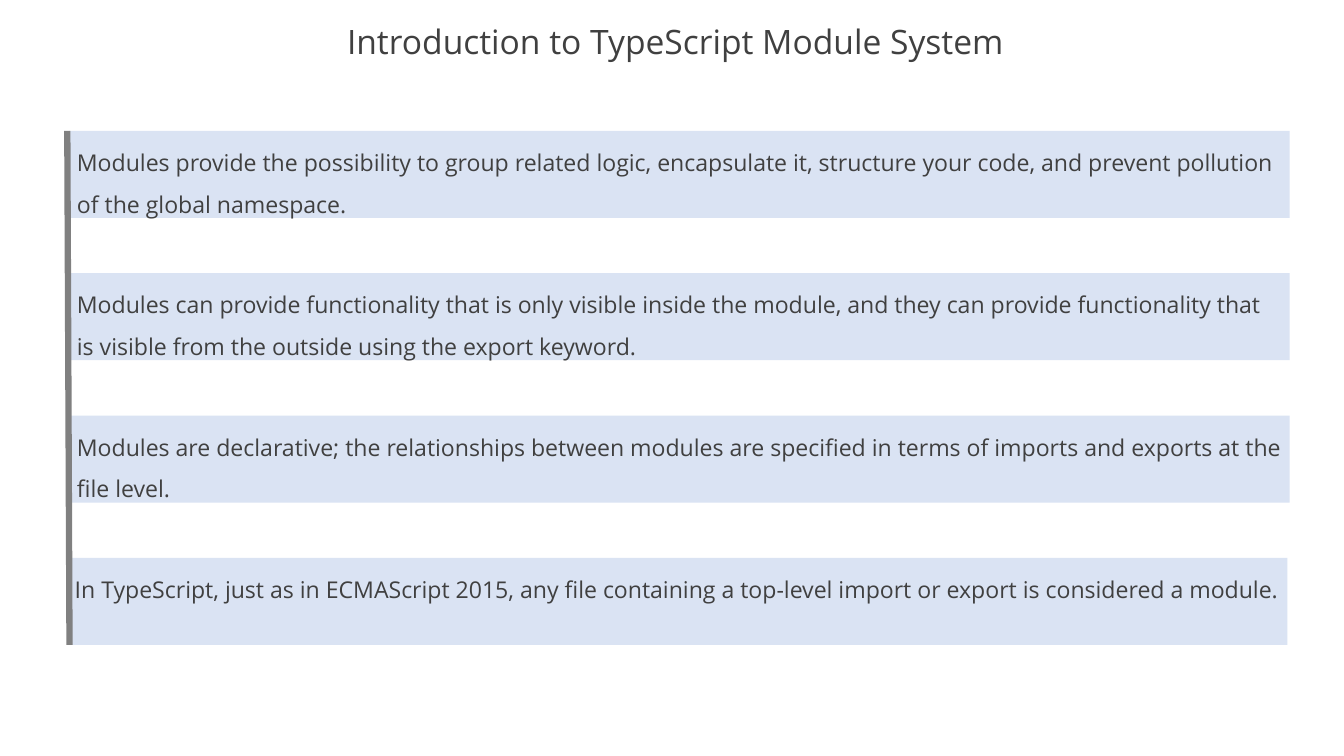
from dataclasses import dataclass

from pptx import Presentation
from pptx.dml.color import RGBColor
from pptx.enum.shapes import MSO_CONNECTOR, MSO_SHAPE
from pptx.enum.text import MSO_ANCHOR, PP_ALIGN
from pptx.oxml.ns import qn
from pptx.slide import Slide
from pptx.text.text import _Paragraph
from pptx.util import Pt
from lxml.etree import SubElement

FONT = "Open Sans"
TEXT, PANEL, RULE = "404040", "DAE3F3", "808080"
PAGE_WIDTH, PAGE_HEIGHT = 1280, 720
FIRST_TOP, PITCH = 124.6, 135.6
PANEL_WIDTH, PANEL_HEIGHT = 1162, 82.8


@dataclass
class Statement:
    text: str
    left: float = 66.2


STATEMENTS = [
    Statement("Modules provide the possibility to group related logic, encapsulate it, "
              "structure your code, and prevent pollution of the global namespace."),
    Statement("Modules can provide functionality that is only visible inside the module, "
              "and they can provide functionality that is visible from the outside using "
              "the export keyword."),
    Statement("Modules are declarative; the relationships between modules are specified "
              "in terms of imports and exports at the file level."),
    Statement("In TypeScript, just as in ECMAScript 2015, any file containing a top-level "
              "import or export is considered a module.", 64.1),
]


def color(value: str) -> RGBColor:
    return RGBColor.from_string(value)


def format_paragraph(para: _Paragraph, size: float, align: PP_ALIGN, spacing: float) -> None:
    para.alignment = align
    para.line_spacing = spacing
    para.space_before = Pt(0)
    for span in para.runs:
        span.font.name = FONT
        span.font.size = Pt(size)
        span.font.color.rgb = color(TEXT)


def add_title(page: Slide, text: str) -> None:
    title = page.shapes.title
    title.left, title.top = Pt(0), Pt(15.1)
    title.width, title.height = Pt(PAGE_WIDTH), Pt(52.6)
    frame = title.text_frame
    frame.text = text
    frame.vertical_anchor = MSO_ANCHOR.MIDDLE
    frame.margin_left = Pt(7.2)
    frame.margin_top = frame.margin_right = frame.margin_bottom = Pt(0)
    format_paragraph(frame.paragraphs[0], 32, PP_ALIGN.CENTER, 0.9)


def add_statement(page: Slide, statement: Statement, top: float) -> None:
    panel = page.shapes.add_shape(MSO_SHAPE.RECTANGLE, Pt(statement.left), Pt(top),
                                  Pt(PANEL_WIDTH), Pt(PANEL_HEIGHT))
    panel.shadow.inherit = False
    panel.fill.solid()
    panel.fill.fore_color.rgb = color(PANEL)
    panel.line.fill.background()
    frame = panel.text_frame
    frame.text = statement.text
    frame.word_wrap = True
    frame.vertical_anchor = MSO_ANCHOR.TOP
    format_paragraph(frame.paragraphs[0], 22, PP_ALIGN.LEFT, 1.5)


def add_rule(page: Slide) -> None:
    bottom = FIRST_TOP + (len(STATEMENTS) - 1) * PITCH + PANEL_HEIGHT
    rule = page.shapes.add_connector(MSO_CONNECTOR.STRAIGHT, Pt(64.1), Pt(FIRST_TOP),
                                     Pt(66.2), Pt(bottom))
    rule.line.color.rgb = color(RULE)
    rule.line.width = Pt(6)
    SubElement(rule._element.spPr, qn("a:effectLst"))


def main() -> None:
    """Build the module system slide."""
    deck = Presentation()
    deck.slide_width, deck.slide_height = Pt(PAGE_WIDTH), Pt(PAGE_HEIGHT)
    page = deck.slides.add_slide(deck.slide_layouts[5])
    add_title(page, "Introduction to TypeScript Module System")
    for index, statement in enumerate(STATEMENTS):
        add_statement(page, statement, FIRST_TOP + index * PITCH)
    add_rule(page)
    deck.save("out.pptx")


if __name__ == "__main__":
    main()
